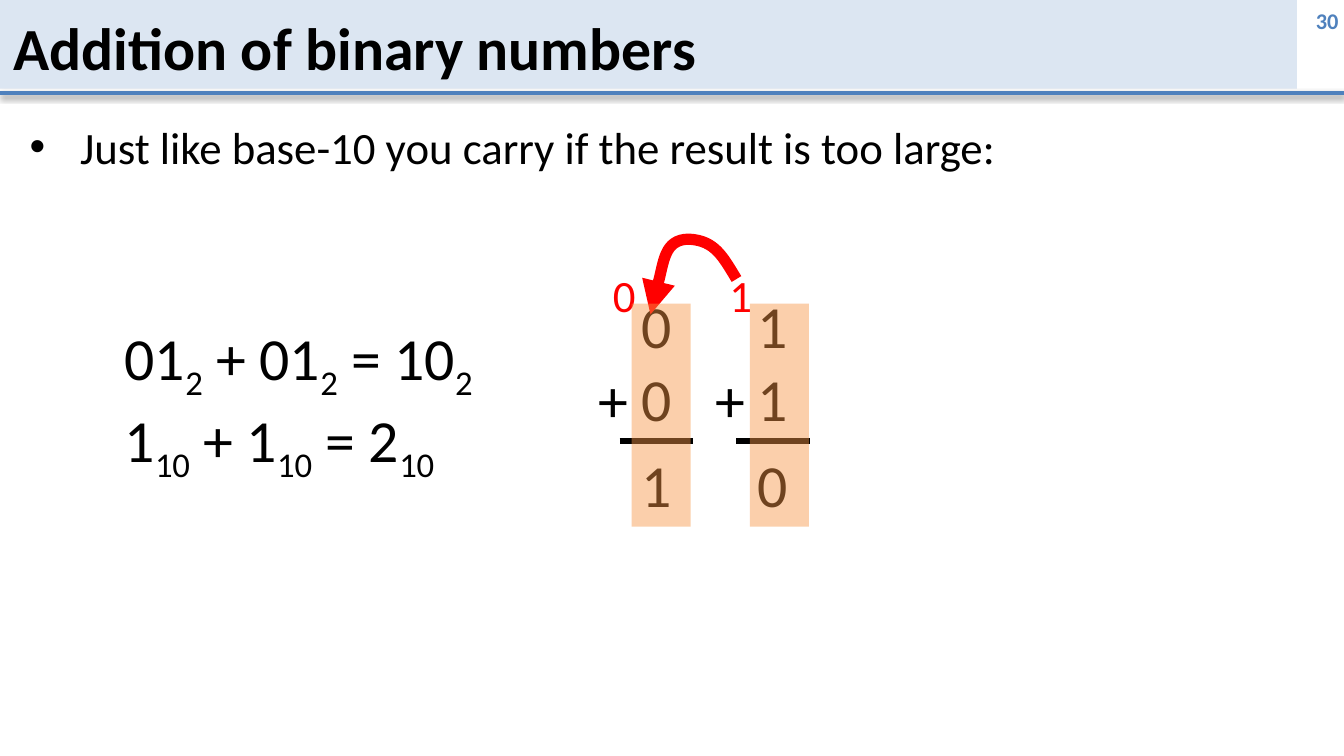
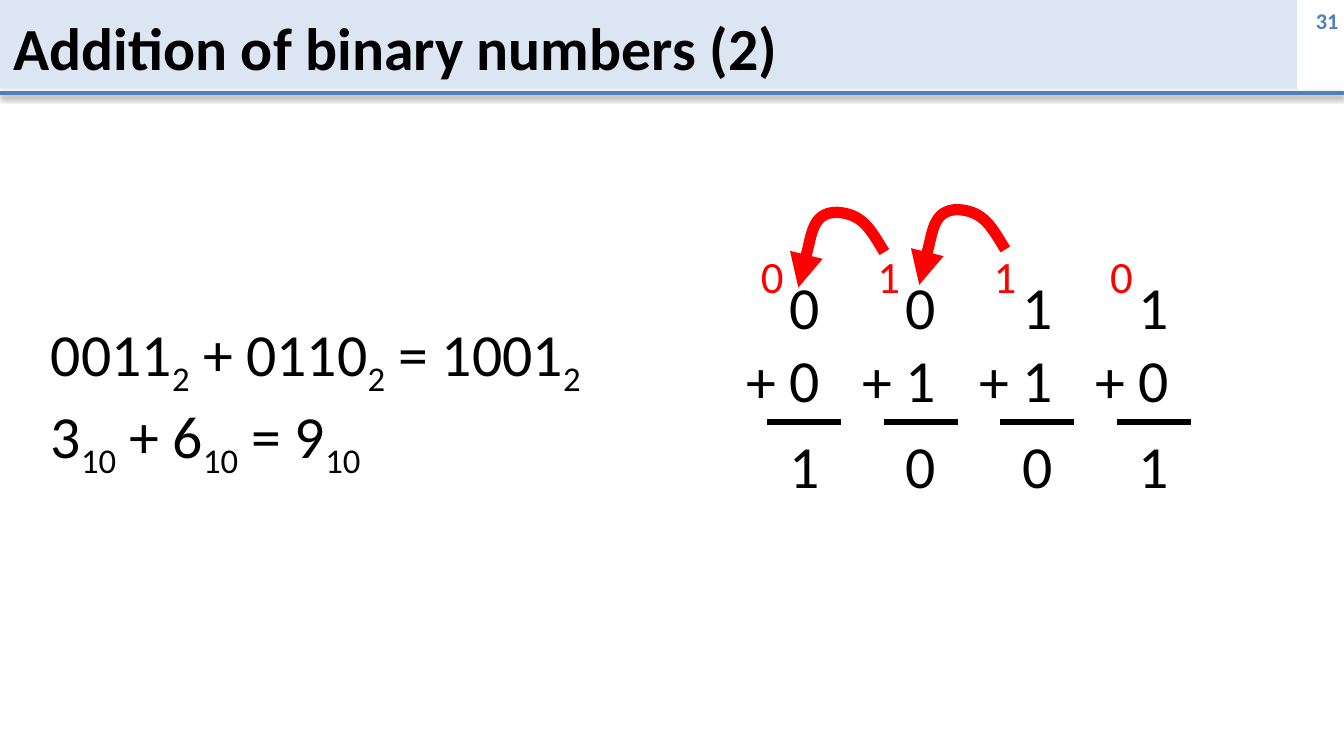
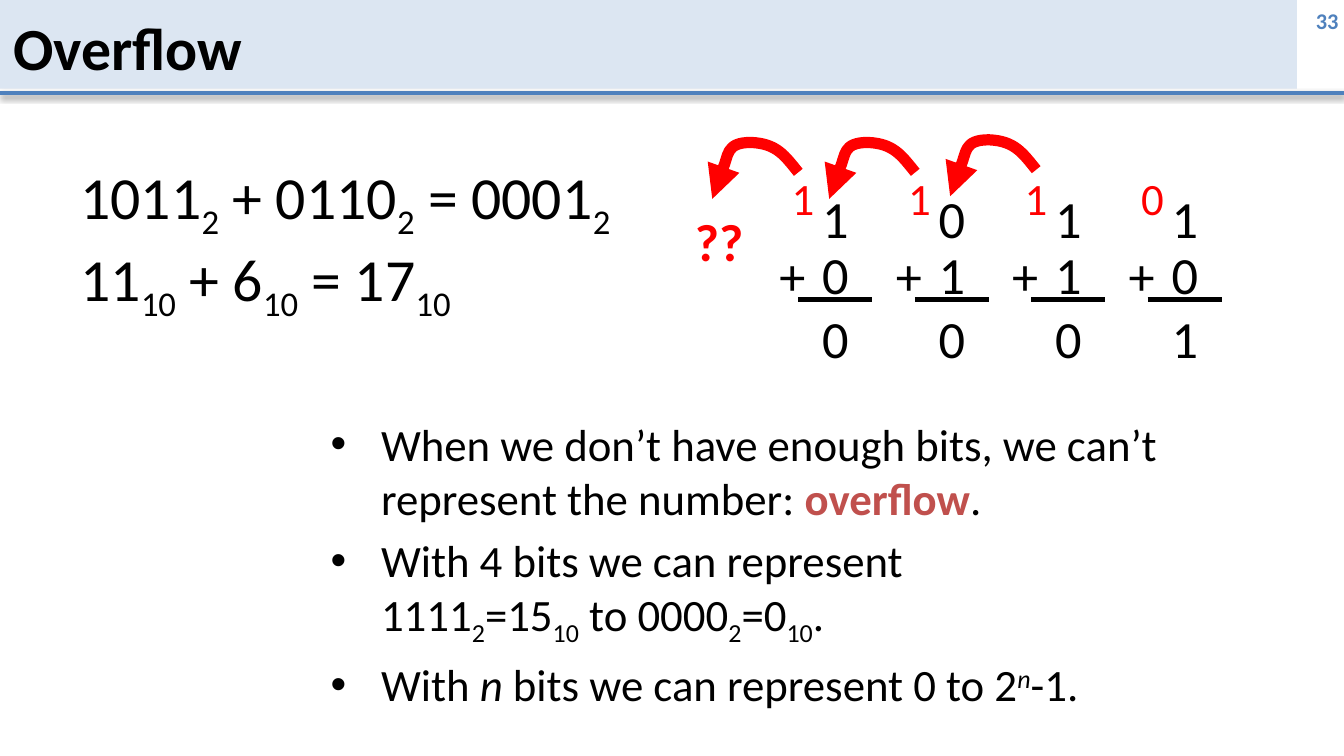
from lxml.etree import SubElement
from pptx import Presentation
from pptx.dml.color import RGBColor
from pptx.enum.shapes import MSO_CONNECTOR, MSO_SHAPE
from pptx.enum.text import MSO_ANCHOR, MSO_AUTO_SIZE, PP_ALIGN
from pptx.oxml.ns import qn
from pptx.util import Inches, Pt

FONT = "Calibri"
BLACK, RED, BLUE = "000000", "FF0000", "4F81BD"
BAND, ORANGE, BRICK = "DCE6F2", "F79646", "C0504D"

COLUMN_WIDTH, COLUMN_PITCH = 0.55, 2.6 / 3
PLUS_SHIFT, CARRY_SHIFT = -0.32, -0.24
# Vertical offsets from the top digit, with the digit size and box height
LOOSE = {"size": 32, "box": 0.64, "addend": 0.54, "total": 1.18, "carry": -0.16}
TIGHT = {"size": 28, "box": 0.57, "addend": 0.41, "total": 0.89, "carry": -0.12}
# Control points of a carry arrow, as fractions of its width and height
ARROW_CURVE = [(1, 0.53), (0.84, 0.23), (0.75, 0.02), (0.45, 0),
               (0.15, 0), (0, 1), (0, 1)]

SUB = {"baseline": -25}
SUPER = {"baseline": 30, "italic": True}
ITALIC = {"italic": True}
KEYWORD = {"color": BRICK, "bold": True}


def rgb(color):
    return RGBColor.from_string(color)


def equation(base, first, second, total):
    """Return the runs of 'first + second = total', each with its base below."""
    runs = []
    for number in (first, f" + {second}", f" = {total}"):
        runs += [(number, {}), (str(base), SUB)]
    return runs


class Deck:
    def __init__(self):
        self.presentation = Presentation()
        self.presentation.slide_width = Inches(10)
        self.presentation.slide_height = Inches(10 * 9 / 16)
        self.slide = None

    def start(self, title, number, has_list=False):
        """Add a slide with its number, header band and title."""
        layout = self.presentation.slide_layouts[1 if has_list else 5]
        self.slide = self.presentation.slides.add_slide(layout)
        self.text(9.33, 0, 0.67, 0.3, [[(number, {})]], wrap=False,
                  align=PP_ALIGN.RIGHT, anchor=MSO_ANCHOR.MIDDLE, side_inset=0.04,
                  size=12, color=BLUE, bold=True)
        self.rectangle(0, 0, 9.65, 0.66, BAND)
        self.line(0, 0.69, 10, BLUE, 2, shadow=True)
        heading = self.slide.shapes.title
        self.place(heading, 0, 0.03, 9.88, 0.63)
        self.slide.shapes.element.append(heading.element)
        heading.text_frame.vertical_anchor = MSO_ANCHOR.MIDDLE
        heading.text_frame.auto_size = MSO_AUTO_SIZE.NONE
        self.fill_text(heading.text_frame, [[(title, {})]], size=32, bold=True)

    def place(self, shape, *box):
        for side, length in zip(("left", "top", "width", "height"), box):
            setattr(shape, side, Inches(length))

    def format_font(self, font, size, color=BLACK, baseline=0, **values):
        font.color.rgb = rgb(color)
        if baseline:
            font._element.set("baseline", str(baseline * 1000))
        for name, value in {"name": FONT, "size": Pt(size), **values}.items():
            setattr(font, name, value)

    def fill_text(self, frame, paragraphs, align=PP_ALIGN.LEFT, gap=0, **style):
        for index, runs in enumerate(paragraphs):
            paragraph = frame.add_paragraph() if index else frame.paragraphs[0]
            paragraph.alignment = align
            paragraph.space_before = Pt(gap if index else 0)
            for words, changes in runs:
                if words == "\n":
                    paragraph.add_line_break()
                    continue
                run = paragraph.add_run()
                run.text = words
                self.format_font(run.font, **{**style, **changes})

    def text(self, left, top, width, height, paragraphs, wrap=True,
             anchor=MSO_ANCHOR.TOP, side_inset=0.1, **style):
        box = self.slide.shapes.add_textbox(
            Inches(left), Inches(top), Inches(width), Inches(height))
        frame_format = {
            "word_wrap": wrap, "vertical_anchor": anchor,
            "auto_size": MSO_AUTO_SIZE.SHAPE_TO_FIT_TEXT,
            "margin_left": Inches(side_inset), "margin_right": Inches(side_inset),
        }
        for name, value in frame_format.items():
            setattr(box.text_frame, name, value)
        self.fill_text(box.text_frame, paragraphs, **style)

    def symbol(self, left, top, height, words, width=COLUMN_WIDTH, **style):
        self.text(left, top, width, height, [[(words, {})]],
                  align=PP_ALIGN.CENTER, **style)

    def bullets(self, left, top, width, height, items):
        body = self.slide.placeholders[1]
        self.place(body, left, top, width, height)
        body.text_frame.auto_size = MSO_AUTO_SIZE.NONE
        self.fill_text(body.text_frame, items, gap=4.8, size=24)

    def equations(self, left, top, width, binary, decimal):
        self.text(left, top, width, 1.18,
                  [equation(2, *binary), equation(10, *decimal)],
                  wrap=False, size=32)

    def rectangle(self, left, top, width, height, color, opacity=None):
        shape = self.slide.shapes.add_shape(
            MSO_SHAPE.RECTANGLE, Inches(left), Inches(top),
            Inches(width), Inches(height))
        shape.shadow.inherit = False
        shape.line.fill.background()
        shape.fill.solid()
        shape.fill.fore_color.rgb = rgb(color)
        if opacity:
            tint = shape.element.spPr.find(f".//{qn('a:srgbClr')}")
            SubElement(tint, qn("a:alpha"), val=str(opacity * 1000))

    def line(self, left, top, width, color, weight, shadow=False):
        rule = self.slide.shapes.add_connector(
            MSO_CONNECTOR.STRAIGHT, Inches(left), Inches(top),
            Inches(left + width), Inches(top))
        rule.line.color.rgb = rgb(color)
        rule.line.width = Pt(weight)
        effects = SubElement(rule.element.spPr, qn("a:effectLst"))
        if shadow:
            outer = SubElement(effects, qn("a:outerShdw"), blurRad=str(Pt(3.1)),
                               dist=str(Pt(1.6)), dir="5400000", rotWithShape="0")
            tint = SubElement(outer, qn("a:srgbClr"), val=BLACK)
            SubElement(tint, qn("a:alpha"), val="38000")

    def carry_arrow(self, left, top, height):
        start, *controls = [(Inches(left + 0.64 * x), Inches(top + height * y))
                            for x, y in ARROW_CURVE]
        builder = self.slide.shapes.build_freeform(*start)
        builder.add_line_segments(controls, close=False)
        arrow = builder.convert_to_shape()
        arrow.shadow.inherit = False
        arrow.fill.background()
        arrow.line.color.rgb = rgb(RED)
        arrow.line.width = Pt(6)
        SubElement(arrow.line._get_or_add_ln(), qn("a:tailEnd"), type="triangle")
        # Turn each three straight segments into one Bézier segment
        outline = arrow.element.spPr.find(f".//{qn('a:path')}")
        segments = outline.findall(qn("a:lnTo"))
        for index, segment in enumerate(segments):
            if index % 3 == 0:
                curve = SubElement(outline, qn("a:cubicBezTo"))
            curve.append(segment[0])
            outline.remove(segment)

    def addition(self, left, top, carries, first, second, total, spacing):
        """Draw a written addition with one column for each bit."""
        height = spacing["box"]
        addend_top, total_top = top + spacing["addend"], top + spacing["total"]
        digit = {"size": spacing["size"]}
        for index, bits in enumerate(zip(carries, first, second, total)):
            carry, upper, lower, result = bits
            x = left + index * COLUMN_PITCH
            self.symbol(x, top, height, upper, **digit)
            self.symbol(x, addend_top, height, lower, **digit)
            self.symbol(x, total_top, height, result, **digit)
            self.line(x, total_top, COLUMN_WIDTH, BLACK, 3)
            self.symbol(x + PLUS_SHIFT, addend_top + 0.01, height, "+", **digit)
            self.symbol(x + CARRY_SHIFT, top + spacing["carry"], 0.5, carry,
                        size=24, color=RED)


def add_carry_slide(deck):
    deck.start("Addition of binary numbers", "30", has_list=True)
    deck.bullets(0.12, 0.84, 9.69, 4.65, [
        [("Just like base-10 you carry if the result is too large:", {})]])
    deck.addition(4.61, 2.1, "01", "01", "01", "10", LOOSE)
    deck.equations(0.83, 2.34, 2.87, ("01", "01", "10"), ("1", "1", "2"))
    deck.carry_arrow(4.84, 1.78, 0.56)
    for left in (5.58, 4.7):
        deck.rectangle(left, 2.26, 0.44, 1.66, ORANGE, opacity=45)


def add_four_bit_slide(deck):
    deck.start("Addition of binary numbers (2)", "31")
    deck.addition(5.71, 1.96, "0110", "0011", "0110", "1001", LOOSE)
    deck.equations(0.28, 2.31, 4.24, ("0011", "0110", "1001"), ("3", "6", "9"))
    for left, top in ((6.84, 1.56), (5.94, 1.58)):
        deck.carry_arrow(left, top, 0.56)


def add_overflow_slide(deck):
    deck.start("Overflow", "33", has_list=True)
    deck.bullets(2.36, 3.05, 7.17, 2.15, [
        [("When we don’t have enough bits, we can’t represent the number: ", {}),
         ("overflow", KEYWORD), (".", {})],
        [("With 4 bits we can represent", {}), ("\n", {}),
         ("1111", {}), ("2", SUB), ("=15", {}), ("10", SUB),
         (" to 0000", {}), ("2", SUB), ("=0", {}), ("10", SUB), (".", {})],
        [("With ", {}), ("n ", ITALIC), ("bits we can represent 0 to 2", {}),
         ("n", SUPER), ("-1.", {})],
    ])
    deck.addition(5.94, 1.34, "1110", "1011", "0110", "0001", TIGHT)
    deck.equations(0.5, 1.14, 4.24, ("1011", "0110", "0001"), ("11", "6", "17"))
    for left, top in ((7.07, 1.04), (6.17, 1.06), (5.3, 1.06)):
        deck.carry_arrow(left, top, 0.42)
    deck.symbol(4.99, 1.51, 0.57, "??", width=0.72, size=28, color=RED, bold=True)


def main():
    deck = Deck()
    add_carry_slide(deck)
    add_four_bit_slide(deck)
    add_overflow_slide(deck)
    deck.presentation.save("out.pptx")


if __name__ == "__main__":
    main()
